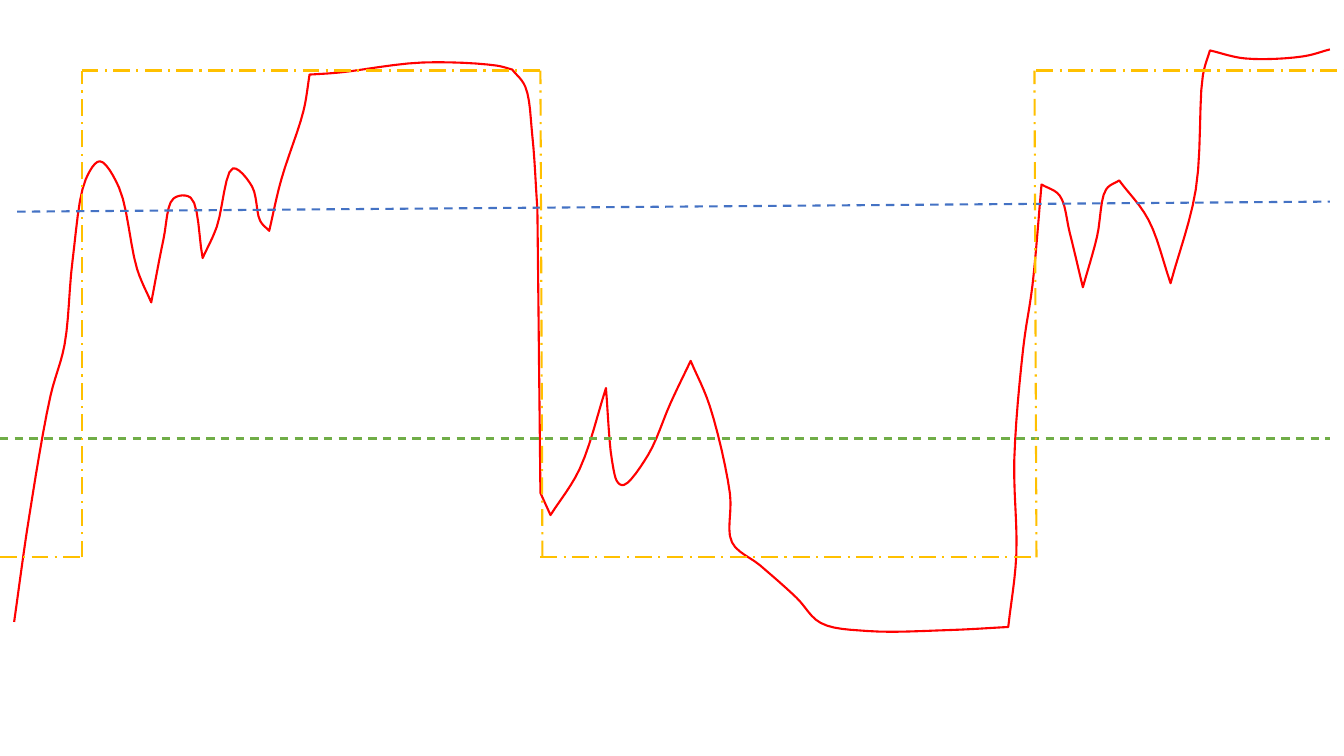
from lxml import etree
from pptx import Presentation
from pptx.dml.color import RGBColor
from pptx.enum.dml import MSO_LINE
from pptx.enum.shapes import MSO_CONNECTOR
from pptx.oxml.ns import qn
from pptx.util import Cm, Pt

# All positions are in inches from the top left of the slide.
SLIDE_WIDTH, SLIDE_HEIGHT = 13.33, 7.5
HIGH, LOW = 0.7, 5.53
STEPS_PER_SPAN = 6

# The signal is smooth within a section and has a corner where one ends.
SIGNAL_START = (0.14, 6.17)
SIGNAL_SECTIONS = {
    "first rise": [(0.29, 5.12), (0.5, 3.93), (0.64, 3.42), (0.72, 2.58),
                   (0.85, 1.78), (0.99, 1.6), (1.18, 1.86), (1.36, 2.67), (1.5, 3)],
    "second crest": [(1.62, 2.38), (1.72, 1.97), (1.89, 1.96), (2.01, 2.56)],
    "third crest": [(2.15, 2.25), (2.31, 1.67), (2.5, 1.85), (2.58, 2.19), (2.67, 2.29)],
    "climb": [(2.79, 1.78), (3.01, 1.1), (3.07, 0.74)],
    "high plateau": [(3.36, 0.72), (4.19, 0.62), (4.92, 0.65), (5.08, 0.69)],
    "shoulder": [(5.21, 0.86), (5.28, 1.35), (5.33, 2.08)],
    "drop": [(5.36, 4.89)],
    "undershoot": [(5.46, 5.11)],
    "low spike": [(5.75, 4.65), (6.01, 3.85)],
    "low crest": [(6.07, 4.57), (6.13, 4.79), (6.19, 4.81), (6.43, 4.51),
                  (6.65, 4), (6.85, 3.58)],
    "low plateau": [(7.04, 4.03), (7.24, 4.9), (7.26, 5.38), (7.54, 5.61), (7.9, 5.93),
                    (8.14, 6.18), (8.6, 6.26), (9.43, 6.25), (10, 6.22)],
    "second rise": [(10.08, 5.5), (10.06, 4.56), (10.15, 3.44), (10.24, 2.83), (10.33, 1.83)],
    "fourth crest": [(10.51, 1.94), (10.61, 2.31), (10.74, 2.85)],
    "fifth crest": [(10.88, 2.35), (10.97, 1.88), (11.1, 1.79)],
    "last dip": [(11.39, 2.18), (11.61, 2.81)],
    "last climb": [(11.86, 1.88), (11.93, 0.75), (12, 0.5)],
    "last plateau": [(12.35, 0.58), (12.92, 0.56), (13.19, 0.49)],
}
UPPER_THRESHOLD = [((0.17, 2.1), (13.19, 2))]
LOWER_THRESHOLD = [((0, 4.35), (13.19, 4.35))]
SQUARE_WAVE = [
    ((0, LOW), (0.81, LOW)),
    ((0.81, LOW), (0.81, HIGH)),
    ((0.81, HIGH), (5.36, HIGH)),
    ((5.38, LOW), (5.36, HIGH)),
    ((5.36, LOW), (10.26, LOW)),
    ((10.28, LOW), (10.26, HIGH)),
    ((10.28, HIGH), (SLIDE_WIDTH, HIGH)),
]

THEME = {
    "signal": RGBColor(0xFF, 0x00, 0x00),
    "upper": RGBColor(0x44, 0x72, 0xC4),
    "lower": RGBColor(0x70, 0xAD, 0x47),
    "square": RGBColor(0xFF, 0xC0, 0x00),
    "line_width": Pt(1.5),
}


def place(point):
    """Turn a point in inches into slide lengths."""
    return tuple(Cm(value * 2.54) for value in point)


def smooth_section(points):
    """Sample a centripetal Catmull-Rom curve, leaving out its first point."""
    knots = [complex(*point) for point in points]
    knots = [2 * knots[0] - knots[1], *knots, 2 * knots[-1] - knots[-2]]
    samples = []
    for window in zip(knots, knots[1:], knots[2:], knots[3:]):
        times = [0]
        for before, after in zip(window, window[1:]):
            times.append(times[-1] + abs(after - before) ** 0.5)
        for step in range(1, STEPS_PER_SPAN + 1):
            now = times[1] + (times[2] - times[1]) * step / STEPS_PER_SPAN

            def blend(first, second, start, end):
                share = (now - times[start]) / (times[end] - times[start])
                return first + (second - first) * share

            left, middle, right = (
                blend(window[i], window[i + 1], i, i + 1) for i in range(3))
            mixed = blend(blend(left, middle, 0, 2), blend(middle, right, 1, 3), 1, 2)
            samples.append((mixed.real, mixed.imag))
    return samples


def style_line(line, color, dash=None):
    line.color.rgb = color
    line.width = THEME["line_width"]
    if dash is not None:
        line.dash_style = dash


def draw_signal(slide):
    builder = slide.shapes.build_freeform(*place(SIGNAL_START))
    corner = SIGNAL_START
    for section in SIGNAL_SECTIONS.values():
        samples = smooth_section([corner, *section])
        builder.add_line_segments([place(point) for point in samples], close=False)
        corner = section[-1]
    curve = builder.convert_to_shape()
    curve.shadow.inherit = False
    curve.fill.background()
    style_line(curve.line, THEME["signal"])


def draw_segments(slide, segments, color, dash):
    for start, end in segments:
        connector = slide.shapes.add_connector(
            MSO_CONNECTOR.STRAIGHT, *place(start), *place(end))
        style_line(connector.line, color, dash)
        etree.SubElement(connector._element.spPr, qn("a:effectLst"))


def main():
    deck = Presentation()
    deck.slide_width, deck.slide_height = place((SLIDE_WIDTH, SLIDE_HEIGHT))
    slide = deck.slides.add_slide(deck.slide_layouts[6])
    draw_signal(slide)
    draw_segments(slide, UPPER_THRESHOLD, THEME["upper"], MSO_LINE.DASH)
    draw_segments(slide, LOWER_THRESHOLD, THEME["lower"], MSO_LINE.DASH)
    draw_segments(slide, SQUARE_WAVE, THEME["square"], MSO_LINE.LONG_DASH_DOT)
    deck.save("out.pptx")


if __name__ == "__main__":
    main()
